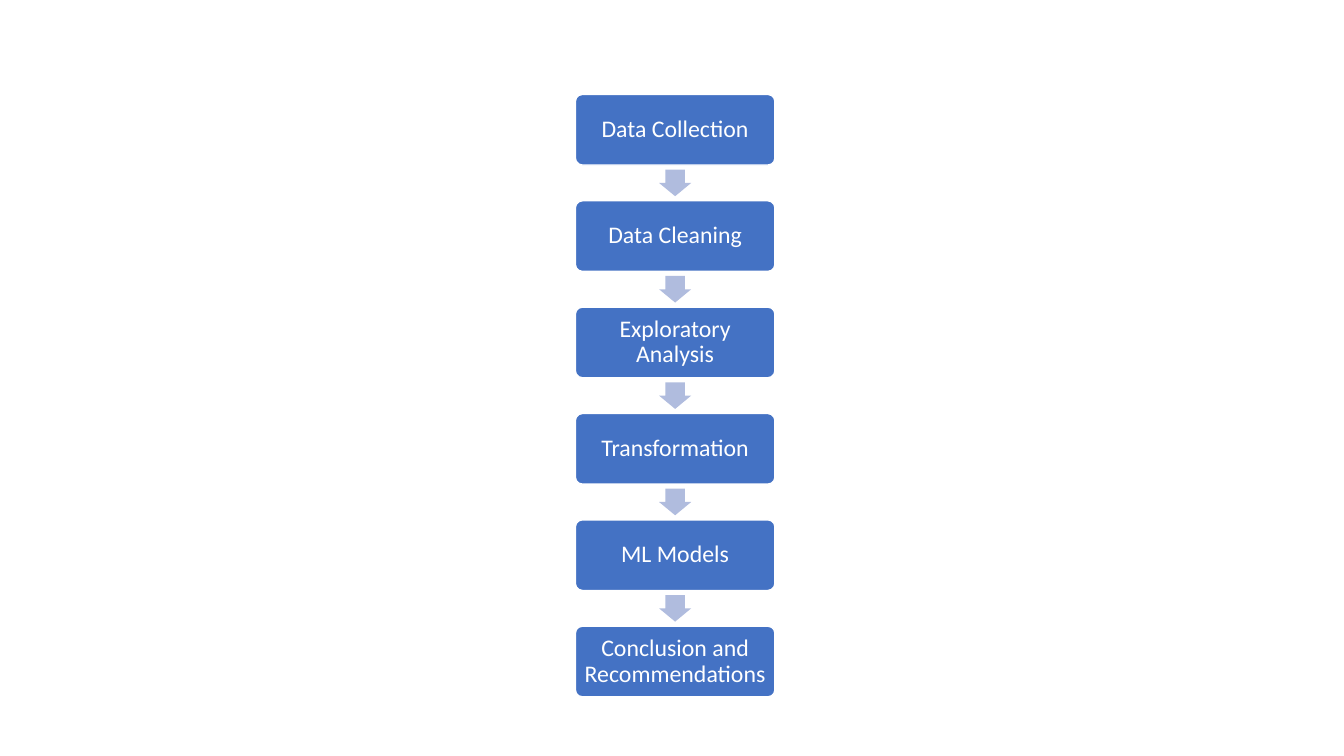
from pptx import Presentation
from pptx.dml.color import RGBColor
from pptx.enum.shapes import MSO_SHAPE
from pptx.enum.text import MSO_ANCHOR, PP_ALIGN
from pptx.util import Cm, Pt

WHITE = RGBColor(0xFF, 0xFF, 0xFF)
BLUE = RGBColor(0x44, 0x72, 0xC4)
PALE_BLUE = RGBColor(0xB0, 0xBC, 0xDE)

STEPS = [
    "Data Collection",
    "Data Cleaning",
    "Exploratory Analysis",
    "Transformation",
    "ML Models",
    "Conclusion and Recommendations",
]
STEP_LEFT, STEP_TOP = 14.5, 2.38
STEP_WIDTH, STEP_HEIGHT = 5.03, 1.78
STEP_PITCH = 2.68
ARROW_WIDTH, ARROW_HEIGHT = 0.81, 0.67


def write_text(shape, text, font="Calibri", size=17, color=WHITE,
               align=PP_ALIGN.CENTER, line_spacing=0.9, inset=0.17):
    frame = shape.text_frame
    frame.word_wrap = True
    frame.vertical_anchor = MSO_ANCHOR.MIDDLE
    frame.margin_left = frame.margin_right = Cm(inset)
    frame.margin_top = frame.margin_bottom = Cm(inset)
    para = frame.paragraphs[0]
    para.alignment = align
    para.line_spacing = line_spacing
    span = para.add_run()
    span.text = text
    span.font.name = font
    span.font.size = Pt(size)
    span.font.color.rgb = color


class FlowSlide:
    def __init__(self, page, step_fill, arrow_fill, outline):
        self.page = page
        self.step_fill = step_fill
        self.arrow_fill = arrow_fill
        self.outline = outline

    def filled_shape(self, kind, left, top, width, height, fill):
        shape = self.page.shapes.add_shape(
            kind, Cm(left), Cm(top), Cm(width), Cm(height))
        shape.shadow.inherit = False
        shape.fill.solid()
        shape.fill.fore_color.rgb = fill
        return shape

    def step(self, text, top):
        box = self.filled_shape(MSO_SHAPE.ROUNDED_RECTANGLE, STEP_LEFT, top,
                                STEP_WIDTH, STEP_HEIGHT, self.step_fill)
        box.adjustments[0] = 0.1
        box.line.color.rgb = self.outline
        box.line.width = Pt(1)
        write_text(box, text)

    def arrow(self, step_top):
        gap = STEP_PITCH - STEP_HEIGHT
        left = STEP_LEFT + (STEP_WIDTH - ARROW_WIDTH) / 2
        top = step_top + STEP_HEIGHT + (gap - ARROW_HEIGHT) / 2
        arrow = self.filled_shape(MSO_SHAPE.DOWN_ARROW, left, top,
                                  ARROW_WIDTH, ARROW_HEIGHT, self.arrow_fill)
        arrow.adjustments[0] = 0.6
        arrow.adjustments[1] = 0.5
        arrow.line.fill.background()


deck = Presentation()
deck.slide_width = Cm(33.87)
deck.slide_height = Cm(19.05)
page = deck.slides.add_slide(deck.slide_layouts[6])
flow = FlowSlide(page, step_fill=BLUE, arrow_fill=PALE_BLUE, outline=WHITE)

for index, name in enumerate(STEPS):
    top = STEP_TOP + index * STEP_PITCH
    flow.step(name, top)
    if index < len(STEPS) - 1:
        flow.arrow(top)

deck.save("out.pptx")
